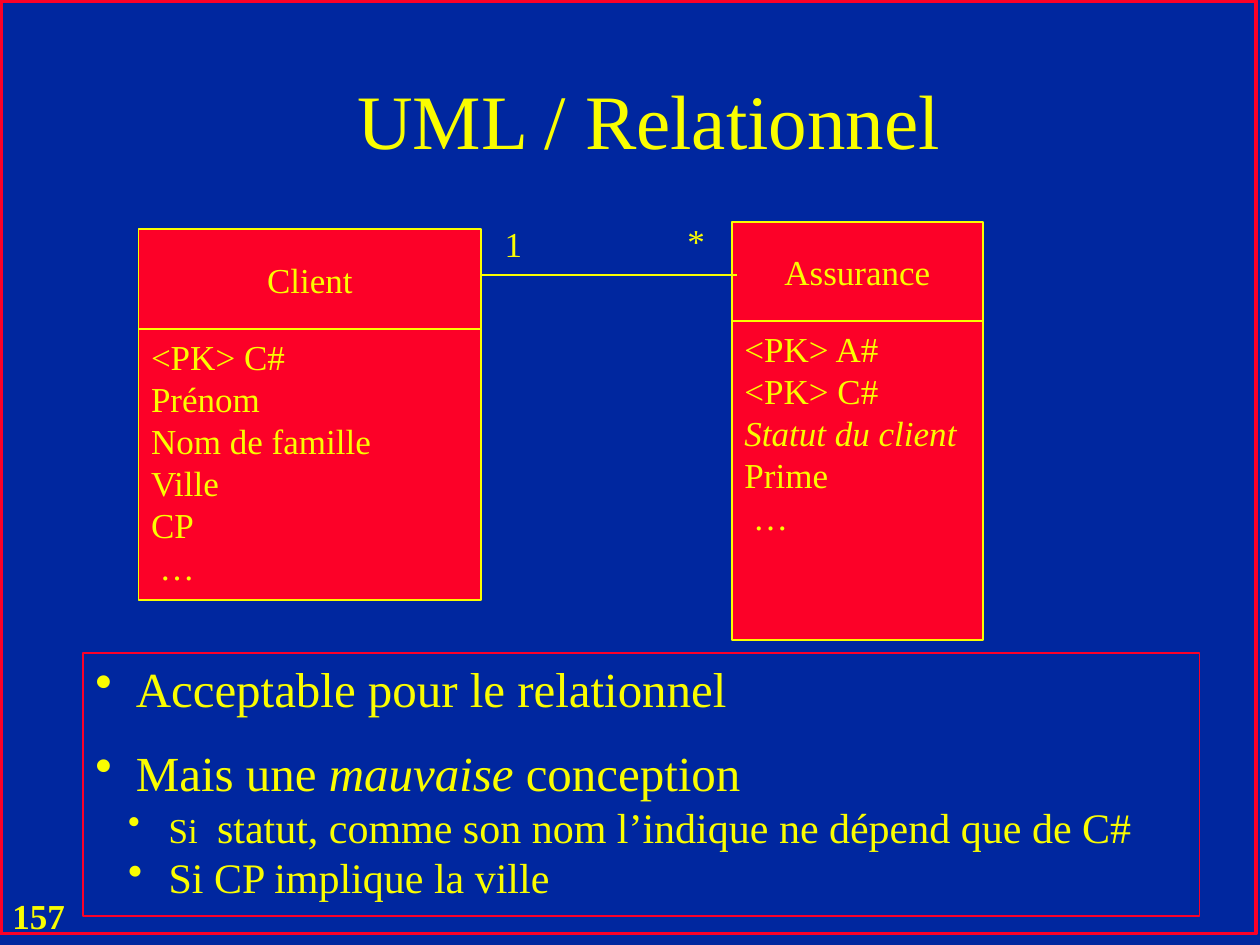
import pptx
import pptx.dml.color
import pptx.enum.shapes
import pptx.enum.text
import pptx.oxml
import pptx.oxml.ns
import pptx.util

SHAPE = pptx.enum.shapes.MSO_SHAPE
ALIGN = pptx.enum.text.PP_ALIGN
ANCHOR = pptx.enum.text.MSO_ANCHOR
BLUE, RED, YELLOW = "00279F", "FC0128", "FAFD00"

deck = pptx.Presentation()
deck.slide_width = pptx.util.Inches(10)
deck.slide_height = pptx.util.Inches(7.5)
CELL = deck.slide_width // 100  # grid of 100 columns by 75 rows
page = deck.slides.add_slide(deck.slide_layouts[6])


def color(target, value):
    """Set a fill, or the color of a line or font, from a hex string."""
    if hasattr(target, "solid"):
        target.solid()
        target = target.fore_color
    else:
        target = target.color
    target.rgb = pptx.dml.color.RGBColor.from_string(value)


def write(text, *, at, size=20, bold=False, align=ALIGN.LEFT, anchor=ANCHOR.TOP,
          wrap=False, fill=None, line=None, width=1, bullets=()):
    """Place text in a box; *stars* mark italics, ^carets^ 20 pt words.

    bullets holds one (size, margin, space before) per paragraph.
    """
    place = [round(cells * CELL) for cells in at]
    if fill or line:
        box = page.shapes.add_shape(SHAPE.RECTANGLE, *place)
        box.shadow.inherit = False
        box.fill.background()
        color(box.line, line)
        box.line.width = pptx.util.Pt(width)
        if fill:
            color(box.fill, fill)
    else:
        box = page.shapes.add_textbox(*place)
    frame = box.text_frame
    frame.word_wrap = wrap
    frame.vertical_anchor = anchor
    for index, content in enumerate(text.split("\n") if text else []):
        para = frame.paragraphs[0] if index == 0 else frame.add_paragraph()
        para.alignment = align
        if bullets:
            size, margin, before = bullets[index]
            para.space_before = pptx.util.Pt(before)
            props = para._p.get_or_add_pPr()
            props.set("marL", str(round(margin * CELL)))
            props.set("indent", str(round(-3.2 * CELL)))
            bullet = pptx.oxml.parse_xml(
                f'<a:buChar {pptx.oxml.ns.nsdecls("a")} char="•"/>')
            props.append(bullet)
        for mark in "*^":
            if mark in content and len(content) > 1:
                pieces = content.split(mark)
                break
        else:
            mark, pieces = "", [content]
        for number, piece in enumerate(pieces):
            if not piece:
                continue
            marked = number % 2 == 1
            span = para.add_run()
            span.text = piece
            span.font.name = "Times New Roman"
            span.font.size = pptx.util.Pt(20 if marked and mark == "^" else size)
            span.font.bold = bold
            span.font.italic = marked and mark == "*"
            color(span.font, YELLOW)


# Background, frame, page number and title
color(page.background.fill, BLUE)
write("", at=(0.1, 0.1, 99.6, 74), line=RED, width=2)
write("157", at=(0, 70.5, 6.9, 4.3), bold=True)
write("UML / Relationnel", at=(9, 3.2, 85, 12.5), size=44,
      align=ALIGN.CENTER, anchor=ANCHOR.MIDDLE, wrap=True)

# Remarks under the diagram
write("Acceptable pour le relationnel\n"
      "Mais une *mauvaise* conception\n"
      "^Si ^ statut, comme son nom l’indique ne dépend que de C#\n"
      "Si CP implique la ville",
      at=(6.6, 51.8, 88.6, 20.9), line=RED, wrap=True,
      bullets=[(28, 3.2, 0), (28, 3.2, 14), (24, 5.8, 0), (24, 5.8, 0)])

# Classes: a name compartment above an attribute compartment
HEAD = 7.9
classes = [
    ("Client", 11, 18.2, 27.2, 21.5,
     "<PK> C#\nPrénom\nNom de famille\nVille\nCP\n …"),
    ("Assurance", 58.1, 17.6, 19.9, 25.3,
     "<PK> A#\n<PK> C#\n*Statut du client*\nPrime\n …"),
]
for name, left, top, wide, body, attributes in classes:
    write(name, at=(left, top, wide, HEAD), fill=RED, line=YELLOW,
          align=ALIGN.CENTER, anchor=ANCHOR.MIDDLE)
    write(attributes, at=(left, top + HEAD, wide, body), fill=RED, line=YELLOW)

# Association and its multiplicities
link = page.shapes.add_connector(
    pptx.enum.shapes.MSO_CONNECTOR.STRAIGHT,
    *[round(cells * CELL) for cells in (38.1, 21.8, 58.5, 21.8)])
color(link.line, YELLOW)
link.line.width = pptx.util.Pt(1)
link._element.spPr.append(pptx.oxml.parse_xml(
    f'<a:effectLst {pptx.oxml.ns.nsdecls("a")}/>'))
for label, left, top in [("1", 38.1, 16.9), ("*", 52.6, 16.7)]:
    write(label, at=(left, top, 5.3, 4.8), align=ALIGN.CENTER, anchor=ANCHOR.MIDDLE)

deck.save("out.pptx")
